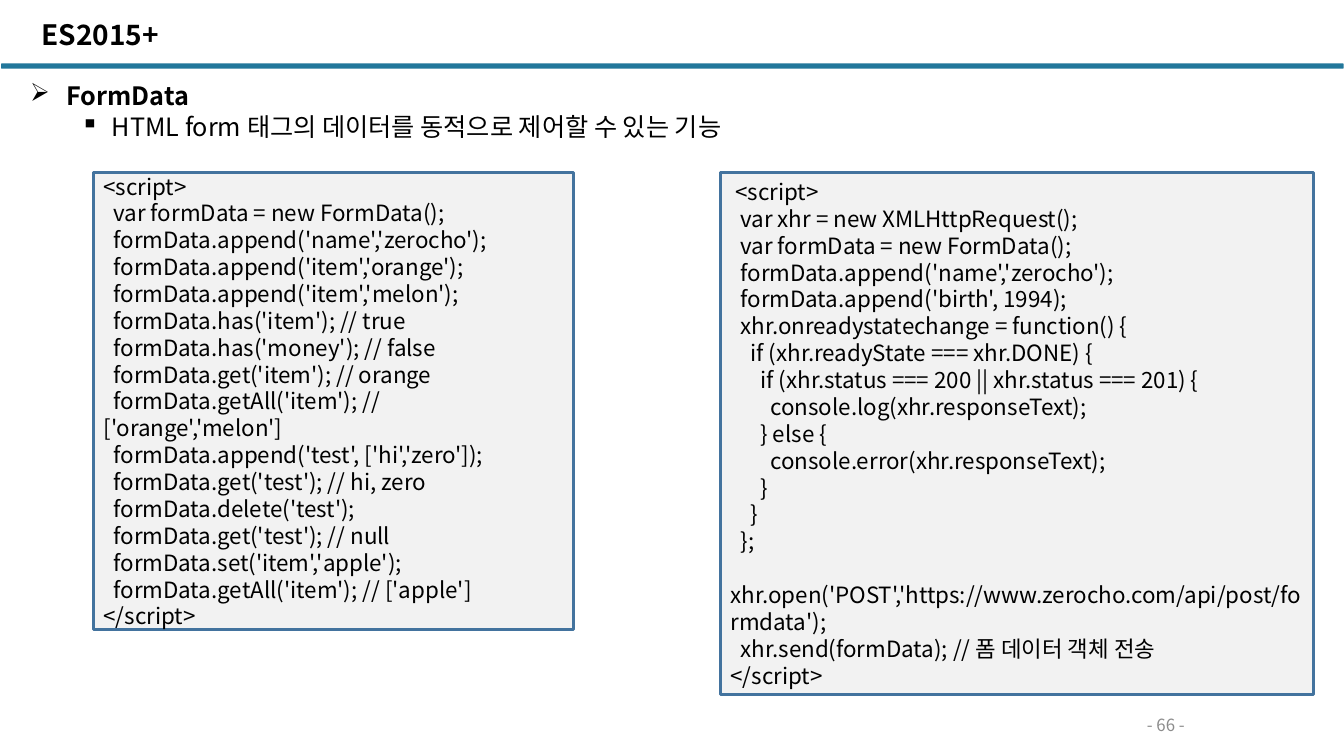
import pptx
import pptx.dml.color
import pptx.enum.shapes
import pptx.enum.text
import pptx.oxml
import pptx.oxml.ns
import pptx.util
from pptx.util import Cm

FONT = "Noto Sans CJK KR"
LINE_HEIGHT = 1.2
ANCHOR = pptx.enum.text.MSO_ANCHOR
ALIGN = pptx.enum.text.PP_ALIGN
SHAPES = pptx.enum.shapes.MSO_SHAPE

FORM_DATA_CODE = """<script>
  var formData = new FormData();
  formData.append('name','zerocho');
  formData.append('item','orange');
  formData.append('item','melon');
  formData.has('item'); // true
  formData.has('money'); // false
  formData.get('item'); // orange
  formData.getAll('item'); // ['orange','melon']
  formData.append('test', ['hi','zero']);
  formData.get('test'); // hi, zero
  formData.delete('test');
  formData.get('test'); // null
  formData.set('item','apple');
  formData.getAll('item'); // ['apple']
</script>"""

REQUEST_CODE = """ <script>
  var xhr = new XMLHttpRequest();
  var formData = new FormData();
  formData.append('name','zerocho');
  formData.append('birth', 1994);
  xhr.onreadystatechange = function() {
    if (xhr.readyState === xhr.DONE) {
      if (xhr.status === 200 || xhr.status === 201) {
        console.log(xhr.responseText);
      } else {
        console.error(xhr.responseText);
      }
    }
  };
  xhr.open('POST','https://www.zerocho.com/api/post/formdata');
  xhr.send(formData); // 폼 데이터 객체 전송
</script>"""


def color(hex_string):
    return pptx.dml.color.RGBColor.from_string(hex_string)


def write(paragraph, text, size, hex_string="000000", bold=False,
          align=ALIGN.LEFT, line_height=LINE_HEIGHT):
    """Add one run, with the font set for Latin and Korean letters alike."""
    paragraph.alignment = align
    paragraph.line_spacing = pptx.util.Pt(size * line_height)
    paragraph.space_before = paragraph.space_after = pptx.util.Pt(0)
    run = paragraph.add_run()
    run.text = text
    run.font.size = pptx.util.Pt(size)
    run.font.bold = bold
    run.font.color.rgb = color(hex_string)
    run.font.name = FONT
    east_asian = pptx.oxml.parse_xml(
        f'<a:ea {pptx.oxml.ns.nsdecls("a")} typeface="{FONT}"/>')
    run.font._element.append(east_asian)


def set_bullet(paragraph, character, left, hanging):
    properties = paragraph._p.get_or_add_pPr()
    properties.set("marL", str(left))
    properties.set("indent", str(-hanging))
    properties.append(pptx.oxml.parse_xml(
        f'<a:buChar {pptx.oxml.ns.nsdecls("a")} char="{character}"/>'))


def prepare_frame(shape, anchor):
    frame = shape.text_frame
    frame.word_wrap = True
    frame.auto_size = pptx.enum.text.MSO_AUTO_SIZE.NONE
    frame.vertical_anchor = anchor
    return frame


def add_box(slide, kind, box, fill):
    shape = slide.shapes.add_shape(kind, *box)
    shape.shadow.inherit = False
    shape.fill.solid()
    shape.fill.fore_color.rgb = color(fill)
    shape.line.fill.background()
    return shape


def add_header(slide, left, top, width, height):
    """Place the title, with the coloured rule along the bottom edge."""
    rule = add_box(slide, SHAPES.ROUNDED_RECTANGLE,
                   (left, top + height, width, Cm(0.13)), "22779B")
    rule.adjustments[0] = 0.13
    title = slide.shapes.title
    title.left, title.top = left + Cm(0.76), top + Cm(0.41)
    title.width, title.height = Cm(20.07), height - Cm(0.41)
    frame = prepare_frame(title, ANCHOR.TOP)
    write(frame.paragraphs[0], "ES2015+", 20, bold=True,
          line_height=LINE_HEIGHT * 0.9)


def add_topic(slide, left, top, width, height):
    textbox = slide.shapes.add_textbox(left, top, width, height)
    frame = prepare_frame(textbox, ANCHOR.TOP)
    heading = frame.paragraphs[0]
    set_bullet(heading, "➢", Cm(0.92), Cm(0.92))
    write(heading, "FormData", 18, bold=True)
    detail = frame.add_paragraph()
    detail.level = 1
    set_bullet(detail, "▪", Cm(2.06), Cm(0.79))
    write(detail, "HTML form 태그의 데이터를 동적으로 제어할 수 있는 기능", 18)


def add_code(slide, code, left, top, width, height):
    panel = add_box(slide, SHAPES.RECTANGLE,
                    (left, top, width, height), "F2F2F2")
    panel.line.color.rgb = color("43739E")
    panel.line.width = pptx.util.Pt(2.25)
    frame = prepare_frame(panel, ANCHOR.MIDDLE)
    for index, line in enumerate(code.split("\n")):
        paragraph = frame.add_paragraph() if index else frame.paragraphs[0]
        write(paragraph, line, 16)


def add_page_number(slide, left, top, width, height):
    textbox = slide.shapes.add_textbox(left, top, width, height)
    frame = prepare_frame(textbox, ANCHOR.MIDDLE)
    write(frame.paragraphs[0], "- 66 -", 12, "8C8C8C", align=ALIGN.CENTER)


def main():
    presentation = pptx.Presentation()
    presentation.slide_width, presentation.slide_height = Cm(33.87), Cm(19.05)
    slide = presentation.slides.add_slide(presentation.slide_layouts[5])
    code_top = Cm(4.34)
    add_header(slide, Cm(0.03), Cm(0), Cm(33.83), Cm(1.6))
    add_topic(slide, Cm(0.51), Cm(1.91), Cm(31.34), Cm(1.8))
    add_code(slide, FORM_DATA_CODE, Cm(2.36), code_top, Cm(12.09), Cm(11.53))
    add_code(slide, REQUEST_CODE, Cm(18.16), code_top, Cm(14.94), Cm(13.16))
    add_page_number(slide, Cm(25.43), Cm(17.98), Cm(7.9), Cm(0.58))
    presentation.save("out.pptx")


if __name__ == "__main__":
    main()
